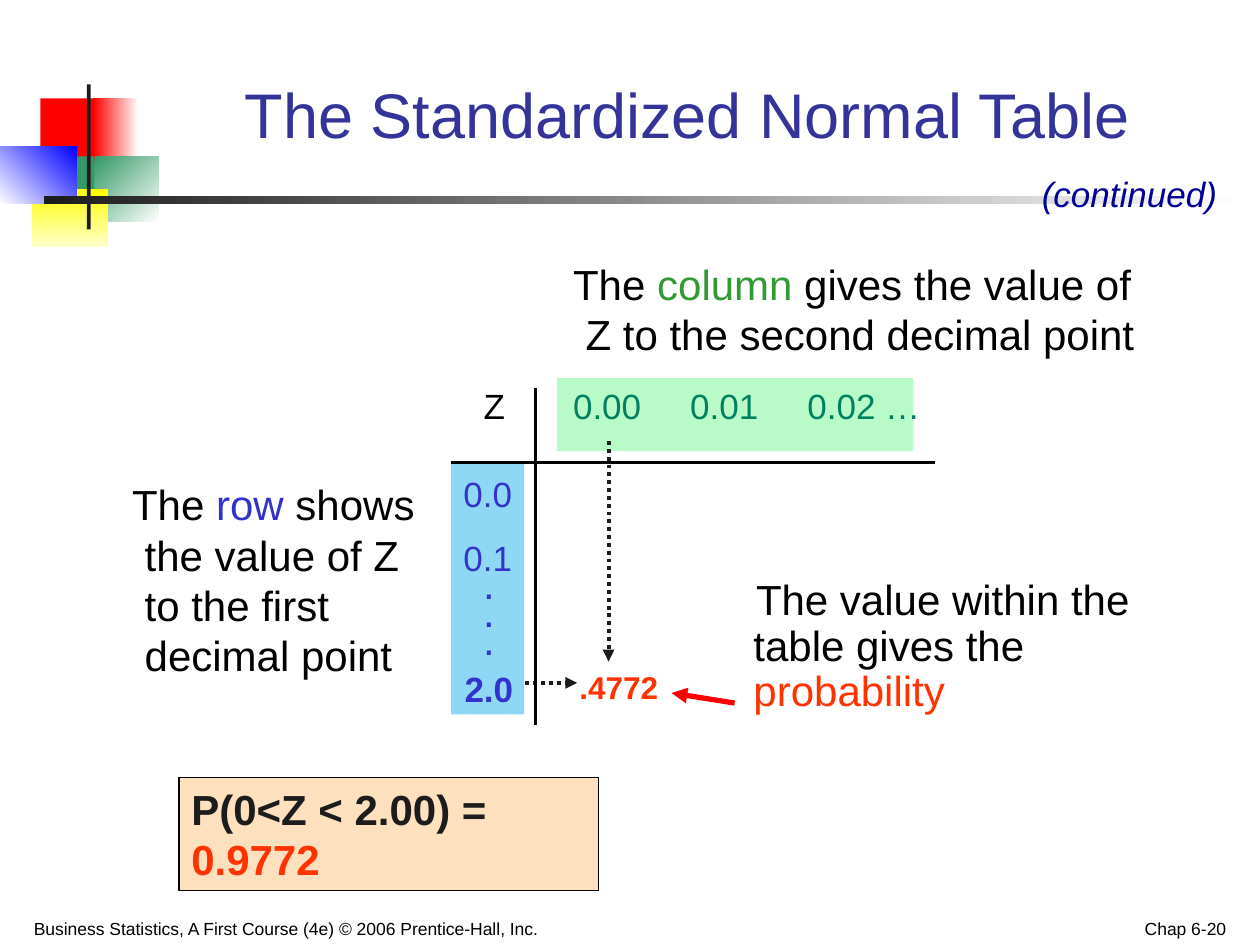
from dataclasses import dataclass

from lxml.etree import SubElement
from pptx import Presentation
from pptx.dml.color import RGBColor
from pptx.enum.dml import MSO_LINE
from pptx.enum.shapes import MSO_CONNECTOR, MSO_SHAPE
from pptx.enum.text import MSO_ANCHOR, MSO_AUTO_SIZE, PP_ALIGN
from pptx.oxml.ns import qn
from pptx.util import Inches, Pt

BLACK = RGBColor(0x00, 0x00, 0x00)
WHITE = RGBColor(0xFF, 0xFF, 0xFF)
CHARCOAL = RGBColor(0x1C, 0x1C, 0x1C)
RED = RGBColor(0xFF, 0x00, 0x00)
BLUE = RGBColor(0x00, 0x00, 0xFF)
GREEN = RGBColor(0x33, 0x99, 0x66)
YELLOW = RGBColor(0xFF, 0xFF, 0x00)
PALE_YELLOW = RGBColor(0xFF, 0xFF, 0xCC)
TITLE_BLUE = RGBColor(0x33, 0x33, 0x99)
NAVY = RGBColor(0x00, 0x00, 0x99)
ROW_BLUE = RGBColor(0x33, 0x33, 0xCC)
ROW_FILL = RGBColor(0x8E, 0xD8, 0xF6)
COLUMN_GREEN = RGBColor(0x33, 0x99, 0x33)
COLUMN_TEXT = RGBColor(0x00, 0x82, 0x60)
COLUMN_FILL = RGBColor(0xB8, 0xFA, 0xC8)
RESULT_RED = RGBColor(0xFF, 0x33, 0x00)
RESULT_FILL = RGBColor(0xFD, 0xE0, 0xBD)

Area = tuple[float, float, float, float]


@dataclass
class Block:
    area: Area
    start: RGBColor
    end: RGBColor | None = None
    angle: int = 0  # counter-clockwise


@dataclass
class Line:
    begin: tuple[float, float]
    end: tuple[float, float]
    color: RGBColor
    width: float
    arrow: bool = False
    dotted: bool = False


@dataclass
class Words:
    text: str
    color: RGBColor = BLACK


@dataclass
class Para:
    words: list[Words]
    size: float = 24
    bold: bool = False
    italic: bool = False
    align: PP_ALIGN = PP_ALIGN.LEFT
    before: float = 0
    spacing: float = 1.0
    margin: float = 0
    indent: float = 0


@dataclass
class Label:
    area: Area
    paras: list[Para]
    anchor: MSO_ANCHOR = MSO_ANCHOR.TOP


def write_text(shape, paras: list[Para], anchor: MSO_ANCHOR = MSO_ANCHOR.TOP) -> None:
    frame = shape.text_frame
    frame.word_wrap = True
    frame.auto_size = MSO_AUTO_SIZE.NONE
    frame.vertical_anchor = anchor
    for index, para in enumerate(paras):
        paragraph = frame.paragraphs[0] if index == 0 else frame.add_paragraph()
        paragraph.alignment = para.align
        paragraph.line_spacing = para.spacing
        paragraph.space_before = Pt(para.before)
        properties = paragraph._p.get_or_add_pPr()
        properties.set("marL", str(Inches(para.margin)))
        properties.set("indent", str(Inches(para.indent)))
        SubElement(properties, qn("a:buNone"))
        for words in para.words:
            run = paragraph.add_run()
            run.text = words.text
            run.font.name = "Arial"
            run.font.size = Pt(para.size)
            run.font.bold = para.bold
            run.font.italic = para.italic
            run.font.color.rgb = words.color


def place(shape, area: Area) -> None:
    shape.left, shape.top, shape.width, shape.height = map(Inches, area)


def draw_block(slide, block: Block):
    shape = slide.shapes.add_shape(MSO_SHAPE.RECTANGLE, *map(Inches, block.area))
    shape.shadow.inherit = False
    shape.line.fill.background()
    if block.end is None:
        shape.fill.solid()
        shape.fill.fore_color.rgb = block.start
    else:
        shape.fill.gradient()
        shape.fill.gradient_angle = block.angle
        for stop, color in zip(shape.fill.gradient_stops, (block.start, block.end)):
            stop.color.rgb = color
    return shape


def draw_line(slide, line: Line) -> None:
    connector = slide.shapes.add_connector(
        MSO_CONNECTOR.STRAIGHT, *map(Inches, line.begin + line.end))
    connector.line.color.rgb = line.color
    connector.line.width = Pt(line.width)
    if line.dotted:
        connector.line.dash_style = MSO_LINE.ROUND_DOT
    if line.arrow:
        SubElement(connector.line._get_or_add_ln(), qn("a:tailEnd"), type="triangle")
    SubElement(connector._element.spPr, qn("a:effectLst"))


def draw_label(slide, label: Label) -> None:
    box = slide.shapes.add_textbox(*map(Inches, label.area))
    write_text(box, label.paras, label.anchor)


BLOCKS = [
    # Corner ornament and title rule
    Block((0.32, 0.78, 0.48, 0.52), RED),
    Block((0.74, 0.78, 0.36, 0.52), RED, WHITE),
    Block((0.75, 1.24, 0.51, 0.52), GREEN, WHITE, 315),
    Block((0.43, 1.24, 0.32, 0.52), GREEN),
    Block((0.25, 1.5, 0.61, 0.46), YELLOW, PALE_YELLOW, 270),
    Block((0, 1.16, 0.61, 0.46), WHITE, BLUE, 45),
    Block((0.69, 0.67, 0.03, 1.15), CHARCOAL),
    Block((0.35, 1.56, 9.51, 0.06), CHARCOAL, WHITE),
    # Column and row highlights
    Block((4.42, 3, 2.83, 0.58), COLUMN_FILL),
    Block((3.58, 3.67, 0.58, 2), ROW_FILL),
]

LINES = [
    Line((5.83, 5.58), (5.33, 5.5), RED, 3, arrow=True),
    Line((4.83, 3.5), (4.83, 5.25), CHARCOAL, 2.25, arrow=True, dotted=True),
    Line((4.17, 5.42), (4.58, 5.42), CHARCOAL, 2.25, arrow=True, dotted=True),
    Line((4.25, 3.08), (4.25, 5.75), BLACK, 1.5),
    Line((3.58, 3.67), (7.42, 3.67), BLACK, 1.5),
]

HEADER_LEFT, HEADER_PITCH = 4.45, 0.93
COLUMN_HEADERS = ["0.00", "0.01", "0.02 …"]

LABELS = [
    # Footer
    Label((0.17, 7.15, 5.08, 0.35), [Para([Words(
        "Business Statistics, A First Course (4e) © 2006 Prentice-Hall, Inc.")], 10)], MSO_ANCHOR.BOTTOM),
    Label((7.5, 7.15, 2.33, 0.35),
          [Para([Words("Chap 6-20")], 10, align=PP_ALIGN.RIGHT)], MSO_ANCHOR.BOTTOM),
    Label((8.17, 1.32, 1.67, 0.44), [Para([Words("(continued)", NAVY)], 20, italic=True)]),
    # Explanations
    Label((0.42, 3.75, 3.08, 1.83), [Para([
        Words("The "), Words("row ", ROW_BLUE),
        Words("shows the value of Z to the first decimal point")], margin=0.63, indent=-0.1)]),
    Label((3.92, 2, 5.25, 1.08), [Para([
        Words("The "), Words("column ", COLUMN_GREEN),
        Words("gives the value of Z to the second decimal point")], margin=0.63, indent=-0.1)]),
    # Normal table headers
    Label((3.74, 3, 0.45, 0.44), [Para([Words("Z")], 20)]),
    *(Label((HEADER_LEFT + column * HEADER_PITCH, 3, 1.2, 0.44),
            [Para([Words(header, COLUMN_TEXT)], 20)])
      for column, header in enumerate(COLUMN_HEADERS)),
    # Normal table rows
    Label((3.58, 3.7, 0.75, 0.95), [
        Para([Words("0.0", ROW_BLUE)], 20),
        Para([Words("0.1", ROW_BLUE)], 20, before=12.5)]),
    Label((3.67, 4.58, 0.42, 0.71), [
        Para([Words(".", ROW_BLUE)], align=PP_ALIGN.CENTER, before=before, spacing=0.4)
        for before in (0, 4.5, 4.5)]),
    Label((3.42, 5.25, 0.92, 0.44),
          [Para([Words("2.0", ROW_BLUE)], 20, bold=True, align=PP_ALIGN.CENTER)]),
    Label((4.5, 5.25, 1.08, 0.4), [Para([Words(".4772", RESULT_RED)], 18, bold=True)]),
]


def main() -> None:
    presentation = Presentation()
    presentation.slide_width, presentation.slide_height = Inches(10), Inches(7.5)
    slide = presentation.slides.add_slide(presentation.slide_layouts[1])

    for block in BLOCKS:
        draw_block(slide, block)

    # Title and body
    title, body = slide.shapes.title, slide.placeholders[1]
    place(title, (1.58, 0.33, 7.75, 0.92))
    write_text(title, [Para([Words("The Standardized Normal Table", TITLE_BLUE)], 36,
                            align=PP_ALIGN.CENTER)], MSO_ANCHOR.BOTTOM)
    place(body, (5.25, 4.55, 4.42, 2.12))
    write_text(body, [Para([Words("The value within the table gives the "),
                            Words("probability", RESULT_RED)],
                           spacing=0.9, margin=0.63, indent=0.02)])

    # Result box
    result = draw_block(slide, Block((1.42, 6.17, 3.33, 0.9), RESULT_FILL))
    result.line.color.rgb = BLACK
    result.line.width = Pt(0.75)
    write_text(result, [Para([Words("P(0<Z < 2.00) =", CHARCOAL), Words(" 0.9772", RESULT_RED)],
                             bold=True)])

    for label in LABELS:
        draw_label(slide, label)
    for line in LINES:
        draw_line(slide, line)

    presentation.save("out.pptx")


if __name__ == "__main__":
    main()
